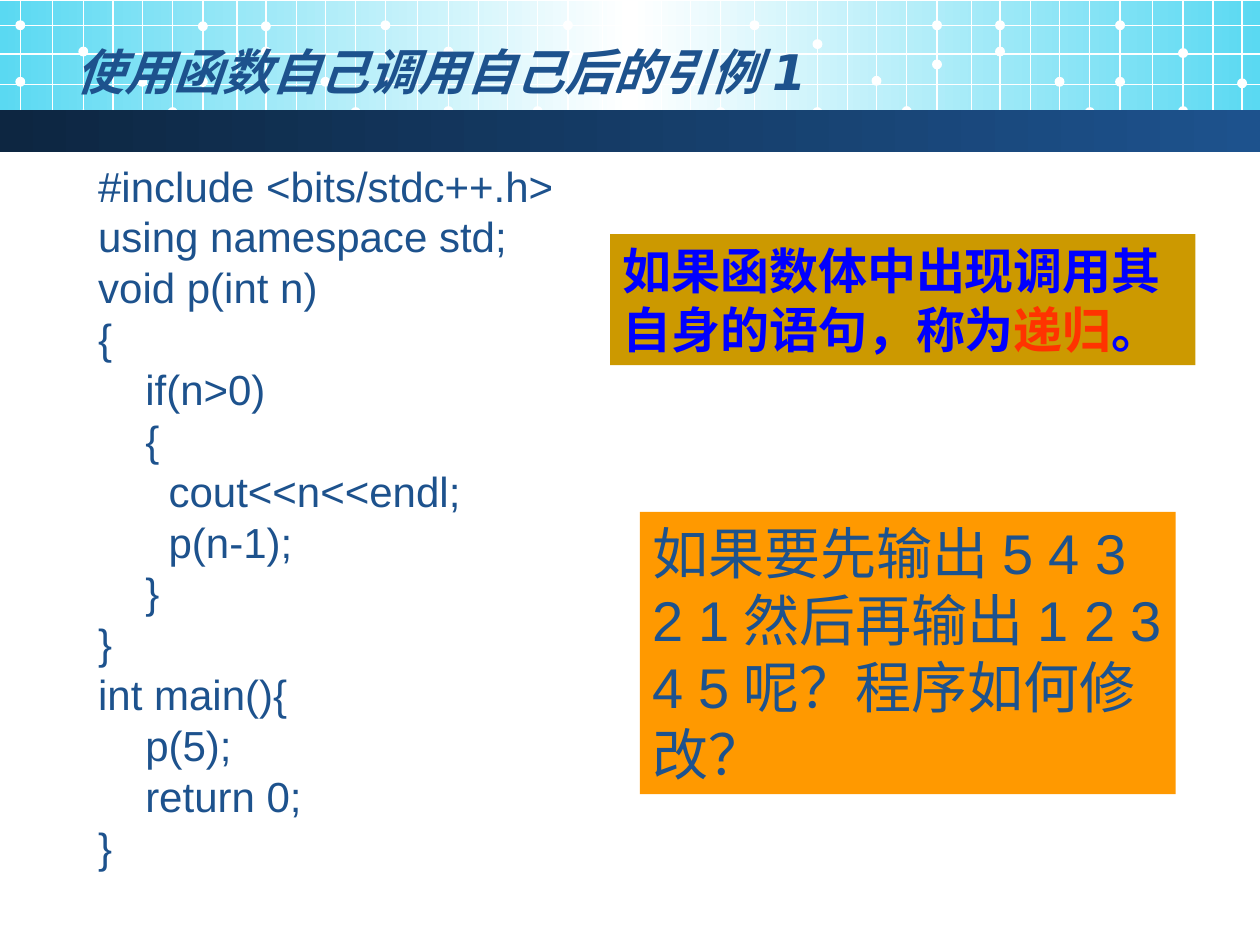
from lxml import etree
from pptx import Presentation, util as u
from pptx.dml.color import RGBColor
from pptx.enum import shapes, text
from pptx.oxml.ns import qn

Cm, Pt = u.Cm, u.Pt
WIDTH, HEIGHT = 25.4, 19.05
NAVY, WHITE = "1D528D", "FFFFFF"

# Content
TITLE = "使用函数自己调用自己后的引例1"
CODE = [
    "#include <bits/stdc++.h>",
    "using namespace std;",
    "void p(int n)",
    "{",
    "\tif(n>0)",
    "\t{",
    "\t  cout<<n<<endl;",
    "\t  p(n-1);",
    "\t}",
    "}",
    "int main(){",
    "\tp(5);",
    "\treturn 0;",
    "}",
]
QUESTION = [("如果要先输出5 4 3 2 1然后再输出1 2 3 4 5呢？程序如何修改？", NAVY)]
DEFINITION = [("如果函数体中出现调用其自身的语句，称为", "0000FF"),
              ("递归", "FF3300"), ("。", "0000FF")]

# Header grid in cm: four repeats of one column pattern
GRID_STARTS = [0.41, 7.77, 15.21, 22.58]
COLUMNS = [0, 0.65, 1.27, 1.87, 2.46, 3.07, 3.68, 4.37, 4.95, 5.56, 6.15, 6.76]
ROWS = [0.51, 1.09, 1.7, 2.26]
GRID_BOTTOM = 2.8
DOT = 0.2
DOT_COLUMNS = [0, 0, 2, 2, 4, 5, 6, 6, 8, 8, 10, 11]
DOT_HEIGHTS = [
    [1.65, 0.51, 1.04, 2.31, 1.65, 2.26, 1.65, 0.53, 1.04, 0.53, 1.65, 2.26],
    [1.65, 0.51, 1.04, 2.24, 1.65, 2.24, 1.09, 0.51, 1.07, 0.51, 1.65, 2.26],
    [1.68, 0.51, 0.89, 2.26, 1.63, 2.24, 1.3, 0.51, 1.04, 0.51, 1.65, 2.26],
    [1.65, 0.51, 1.07, 2.24, 1.68],
]


def rgb(value):
    return RGBColor.from_string(value)


def add_block(page, kind, left, top, width, height, color=None):
    block = page.shapes.add_shape(kind, Cm(left), Cm(top), Cm(width), Cm(height))
    block.shadow.inherit = False
    block.line.fill.background()
    if color:
        block.fill.solid()
        block.fill.fore_color.rgb = rgb(color)
    return block


def add_band(page, top, height, colors):
    """Full-width band with evenly spaced gradient stops."""
    band = add_block(page, shapes.MSO_SHAPE.RECTANGLE, 0, top, WIDTH, height)
    band.fill.gradient()
    band.fill.gradient_angle = 0
    stops = next(band._element.spPr.iter(qn("a:gsLst")))
    stops.clear()
    for i, color in enumerate(colors):
        position = str(100000 * i // (len(colors) - 1))
        stop = etree.SubElement(stops, qn("a:gs"), pos=position)
        etree.SubElement(stop, qn("a:srgbClr"), val=color)


def add_line(page, x1, y1, x2, y2):
    line = page.shapes.add_connector(
        shapes.MSO_CONNECTOR.STRAIGHT, Cm(x1), Cm(y1), Cm(x2), Cm(y2))
    line.line.color.rgb = rgb(WHITE)
    line.line.width = Pt(0.75)
    etree.SubElement(line._element.spPr, qn("a:effectLst"))


def style(para, size, name, color=NAVY, bold=False, italic=False):
    para.alignment = text.PP_ALIGN.LEFT
    font = para.font
    font.size, font.name = Pt(size), name
    font.bold, font.italic = bold, italic
    font.color.rgb = rgb(color)


def add_text_box(page, left, top, width, height):
    box = page.shapes.add_textbox(Cm(left), Cm(top), Cm(width), Cm(height))
    box.text_frame.word_wrap = True
    return box.text_frame


def add_note(page, left, top, width, height, color, spans, size, bold=False):
    note = add_block(page, shapes.MSO_SHAPE.RECTANGLE, left, top, width, height, color)
    frame = note.text_frame
    frame.word_wrap = True
    frame.vertical_anchor = text.MSO_ANCHOR.TOP
    para = frame.paragraphs[0]
    style(para, size, "Arial", spans[0][1], bold)
    for words, span_color in spans:
        span = para.add_run()
        span.text = words
        span.font.color.rgb = rgb(span_color)


def add_header(page):
    add_band(page, 0.03, 2.59, ["5AD9F2", WHITE, "5AD9F2"])
    for start, heights in zip(GRID_STARTS, DOT_HEIGHTS):
        for offset in COLUMNS:
            if start + offset < WIDTH:
                add_line(page, start + offset, 0, start + offset, GRID_BOTTOM)
        for column, y in zip(DOT_COLUMNS, heights):
            x = start + COLUMNS[column]
            add_block(page, shapes.MSO_SHAPE.OVAL,
                      x - DOT / 2, y - DOT / 2, DOT, DOT, WHITE)
    for y in ROWS:
        add_line(page, 0, y, WIDTH, y)
    add_band(page, 2.22, 0.84, ["0D2641", NAVY])


def add_code(page):
    frame = add_text_box(page, 1.73, 3.3, 12.22, 14.78)
    for i, code_line in enumerate(CODE):
        para = frame.paragraphs[0] if i == 0 else frame.add_paragraph()
        para.text = code_line
        para.line_spacing = 0.8
        para.space_before = Pt(6 if i else 0)
        # Hanging indent: a leading tab reaches the indent
        properties = para._p.get_or_add_pPr()
        properties.set("marL", str(Cm(0.95)))
        properties.set("indent", str(-Cm(0.95)))
        tabs = etree.SubElement(properties, qn("a:tabLst"))
        etree.SubElement(tabs, qn("a:tab"), pos="0", algn="l")
        style(para, 24, "Arial")


def main():
    deck = Presentation()
    deck.slide_width, deck.slide_height = Cm(WIDTH), Cm(HEIGHT)
    page = deck.slides.add_slide(deck.slide_layouts[6])

    add_header(page)

    # Title
    frame = add_text_box(page, 1.27, 0.64, 20.52, 1.57)
    frame.vertical_anchor = text.MSO_ANCHOR.MIDDLE
    frame.text = TITLE
    style(frame.paragraphs[0], 28, "DejaVu Sans", bold=True, italic=True)

    # Code and notes
    add_code(page)
    add_note(page, 12.9, 10.32, 10.8, 5.69, "FF9900", QUESTION, 32)
    add_note(page, 12.3, 4.72, 11.8, 2.64, "CC9900", DEFINITION, 28, bold=True)

    deck.save("out.pptx")


if __name__ == "__main__":
    main()
